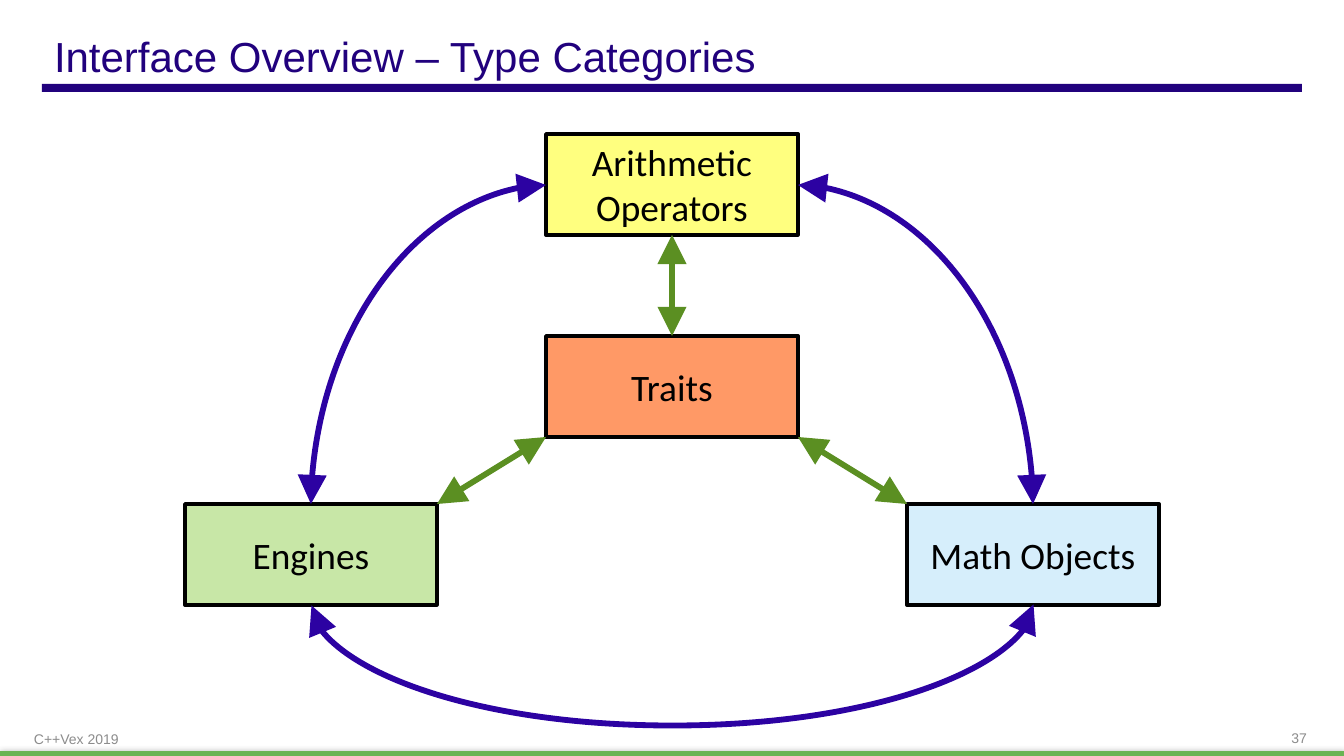
from lxml import etree
from pptx import Presentation
from pptx import util as u
from pptx.dml.color import RGBColor
from pptx.enum import shapes, text
from pptx.oxml import ns

EMU_PER_PX = u.Inches(1) / 84
WIDTH, HEIGHT = 1344, 756
BOX_W, BOX_H = 252, 101

NAVY = RGBColor(0x21, 0x01, 0x7D)
VIOLET = RGBColor(0x2C, 0x02, 0xA2)
OLIVE = RGBColor(0x5B, 0x8F, 0x22)
BAR_GREEN = RGBColor(0x69, 0xB4, 0x53)
GREY = RGBColor(0x8C, 0x8C, 0x8C)
BLACK = RGBColor(0, 0, 0)
YELLOW = RGBColor(0xFF, 0xFF, 0x00)
GREEN = RGBColor(0x92, 0xD0, 0x50)
SKY = RGBColor(0xD6, 0xEE, 0xFB)
ORANGE = RGBColor(0xFF, 0x99, 0x66)


def px(length):
    return u.Emu(round(length * EMU_PER_PX))


def add_xml(parent, tag, **attributes):
    return etree.SubElement(parent, ns.qn(tag), attributes)


def write(frame, words, size, font, color, align, insets):
    frame.word_wrap = True
    frame.auto_size = text.MSO_AUTO_SIZE.NONE
    frame.vertical_anchor = text.MSO_ANCHOR.MIDDLE
    frame.margin_left = frame.margin_right = px(insets[0])
    frame.margin_top = frame.margin_bottom = px(insets[1])
    paragraph = frame.paragraphs[0]
    paragraph.alignment = align
    run = paragraph.add_run()
    run.text = words
    run.font.size = u.Pt(size)
    run.font.name = font
    run.font.color.rgb = color


def add_rect(slide, box, color):
    rect = slide.shapes.add_shape(shapes.MSO_SHAPE.RECTANGLE, *map(px, box))
    rect.shadow.inherit = False
    rect.fill.solid()
    rect.fill.fore_color.rgb = color
    rect.line.fill.background()
    return rect


def add_header(slide, box):
    left, top, width, height = box
    title = slide.shapes.title
    title.left, title.top, title.width, title.height = map(px, box)
    write(title.text_frame, "Interface Overview – Type Categories", 36, "Arial",
          NAVY, text.PP_ALIGN.LEFT, (12, 6))
    add_rect(slide, (left, top + height - 2, width, 8), NAVY)


def add_footer(slide, box):
    left, top, width, height = box
    bar = add_rect(slide, (left, top + height - 5, width, 5), BAR_GREEN)
    effects = bar._element.spPr.find(ns.qn("a:effectLst"))
    glow = add_xml(effects, "a:outerShdw", blurRad=str(u.Pt(5)), dist="0", dir="0")
    add_xml(add_xml(glow, "a:srgbClr", val="000000"), "a:alpha", val="40000")
    for words, x, w, h, align, insets in (
        ("C++Vex 2019", 34, 403, 17, text.PP_ALIGN.LEFT, (0, 0)),
        ("37", 1218, 101, 15, text.PP_ALIGN.RIGHT, (12, 6)),
    ):
        note = slide.shapes.add_textbox(*map(px, (left + x, top, w, h)))
        write(note.text_frame, words, 12, "Arial", GREY, align, insets)


def add_category(slide, corner, words, color, opacity=100):
    category = add_rect(slide, (*corner, BOX_W, BOX_H), color)
    category.line.color.rgb = BLACK
    category.line.width = u.Pt(3)
    if opacity < 100:
        tint = category._element.spPr.find(".//" + ns.qn("a:srgbClr"))
        add_xml(tint, "a:alpha", val=str(opacity * 1000))
    write(category.text_frame, words, 32, "Calibri", BLACK,
          text.PP_ALIGN.CENTER, (8, 4))


def add_arrow(slide, start, end, color, preset="line"):
    arrow = slide.shapes.add_connector(
        shapes.MSO_CONNECTOR.STRAIGHT, *map(px, (*start, *end)))
    arrow.line.color.rgb = color
    arrow.line.width = u.Pt(5)
    outline = arrow.line._get_or_add_ln()
    for tip in ("a:headEnd", "a:tailEnd"):
        add_xml(outline, tip, type="triangle", w="lg", len="lg")
    properties = arrow._element.spPr
    properties.find(ns.qn("a:prstGeom")).set("prst", preset)
    add_xml(properties, "a:effectLst")
    return arrow


def add_sagging_arrow(slide, left, right, y, drop):
    middle, half = (left + right) / 2, (right - left) / 2
    arrow = add_arrow(slide, (middle, y - half), (middle + 1, y + half),
                      VIOLET, "curvedConnector3")
    arrow.rotation = 90
    geometry = arrow._element.spPr.find(ns.qn("a:prstGeom"))
    for guides in geometry.findall(ns.qn("a:avLst")):
        geometry.remove(guides)
    add_xml(add_xml(geometry, "a:avLst"), "a:gd",
            name="adj1", fmla=f"val {drop * 100000}")


def add_diagram(slide, box):
    left, top, width, height = box
    center = left + width // 2
    inner = center - BOX_W // 2
    inner_right = inner + BOX_W
    outer_right = left + width - BOX_W
    traits_top, base_top = top + 202, top + 370
    traits_bottom, base_bottom = traits_top + BOX_H, base_top + BOX_H
    operators_middle = top + BOX_H // 2 + 1
    engines_center = left + BOX_W // 2
    objects_center = outer_right + BOX_W // 2

    add_category(slide, (inner, top), "Arithmetic Operators", YELLOW, 50)
    add_category(slide, (left, base_top), "Engines", GREEN, 50)
    add_category(slide, (outer_right, base_top), "Math Objects", SKY)
    add_category(slide, (inner, traits_top), "Traits", ORANGE)

    for side, base in ((inner, engines_center), (inner_right, objects_center)):
        add_arrow(slide, (side, operators_middle), (base, base_top),
                  VIOLET, "curvedConnector2")
    add_sagging_arrow(slide, engines_center, objects_center, base_bottom,
                      top + height - base_bottom)

    for start, end in (
        ((center, top + BOX_H), (center, traits_top)),
        ((outer_right, base_top), (inner_right, traits_bottom)),
        ((inner, traits_bottom), (left + BOX_W, base_top)),
    ):
        add_arrow(slide, start, end, OLIVE)


def main():
    deck = Presentation()
    deck.slide_width, deck.slide_height = px(WIDTH), px(HEIGHT)
    slide = deck.slides.add_slide(deck.slide_layouts[5])
    add_footer(slide, (0, 730, WIDTH, 26))
    add_header(slide, (42, 25, 1260, 61))
    add_diagram(slide, (185, 134, 974, 593))
    deck.save("out.pptx")


if __name__ == "__main__":
    main()
